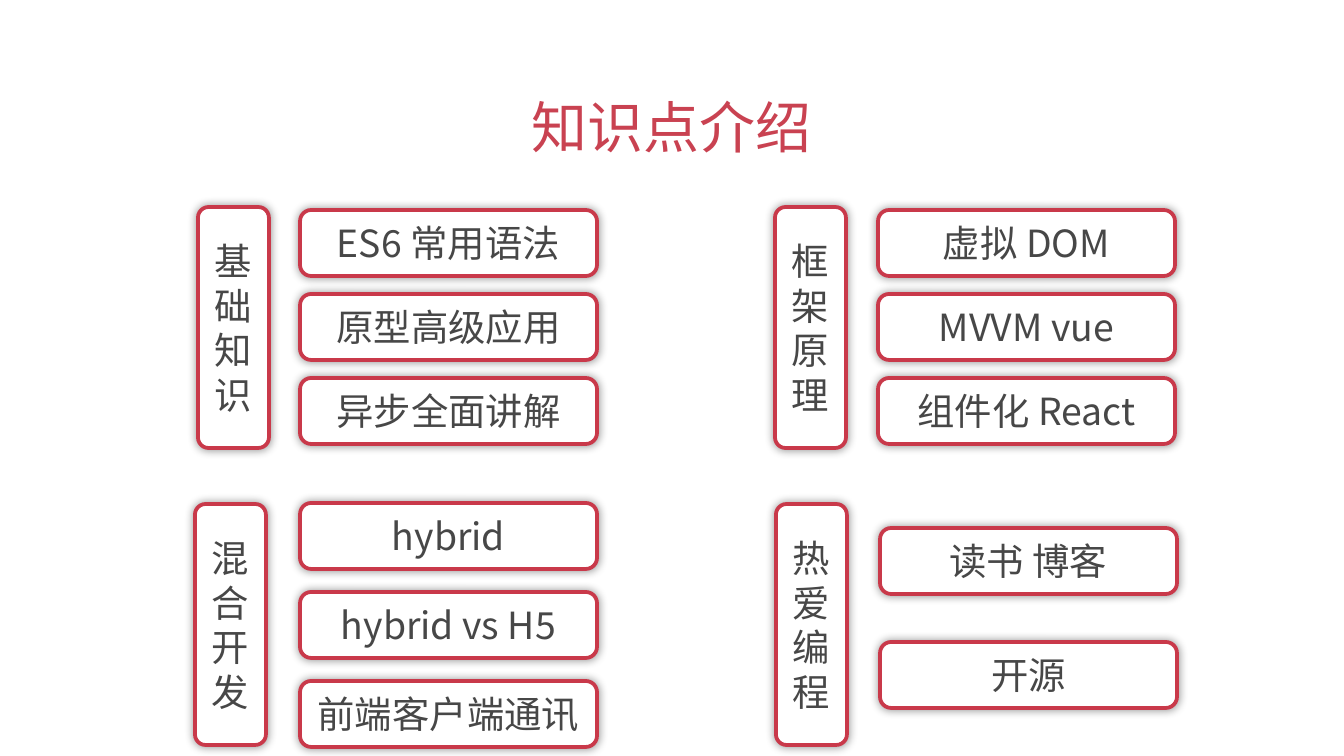
from lxml import etree
from pptx import Presentation
from pptx import util as u
from pptx.dml.color import RGBColor
from pptx.enum import shapes, text
from pptx.oxml.ns import qn

RED = RGBColor(0xC9, 0x39, 0x4A)
ROSE = RGBColor(0xC9, 0x42, 0x51)
GREY = RGBColor(0x47, 0x47, 0x47)
WHITE = RGBColor(0xFF, 0xFF, 0xFF)
FONT = "Noto Sans CJK SC"

TITLE = "知识点介绍"
# topic, its left and top, then its cards with their left, top and pitch
TOPICS = [
    ("基础知识", 198, 207, ["ES6 常用语法", "原型高级应用", "异步全面讲解"], 300, 210, 84),
    ("框架原理", 775, 207, ["虚拟 DOM", "MVVM vue", "组件化 React"], 878, 210, 84),
    ("混合开发", 195, 504, ["hybrid", "hybrid vs H5", "前端客户端通讯"], 300, 503, 89),
    ("热爱编程", 776, 504, ["读书 博客", "开源"], 880, 528, 114),
]
TALL = (71, 241, 0.15)  # width, height, corner
WIDE = (297, 66, 0.17)


def px(n):
    return u.Emu(round(n * 914400 / 134.4))


def write(frame, words, size, color, inset=0):
    frame.margin_left = frame.margin_right = px(inset)
    frame.margin_top = frame.margin_bottom = px(inset)
    para = frame.paragraphs[0]
    para.alignment = text.PP_ALIGN.CENTER
    run = para.add_run()
    run.text = words
    run.font.size = u.Pt(size)
    run.font.color.rgb = color
    run.font.name = FONT
    east = etree.SubElement(run.font._element, qn("a:ea"))
    east.set("typeface", FONT)


def glow(box):
    """Give the box a soft, even shadow on all sides."""
    box.shadow.inherit = False
    effects = box._element.spPr.find(qn("a:effectLst"))
    shade = etree.SubElement(effects, qn("a:outerShdw"), blurRad=str(u.Pt(5)),
                             dist="0", dir="0", rotWithShape="0")
    tone = etree.SubElement(shade, qn("a:srgbClr"), val="000000")
    etree.SubElement(tone, qn("a:alpha"), val="40000")


def add_box(slide, words, left, top, form):
    width, height, corner = form
    box = slide.shapes.add_shape(shapes.MSO_SHAPE.ROUNDED_RECTANGLE,
                                 px(left), px(top), px(width), px(height))
    box.adjustments[0] = corner
    box.fill.solid()
    box.fill.fore_color.rgb = WHITE
    box.line.color.rgb = RED
    box.line.width = u.Pt(2)
    glow(box)
    frame = box.text_frame
    frame.word_wrap = True
    frame.vertical_anchor = text.MSO_ANCHOR.MIDDLE
    write(frame, words, 20, GREY)


def main():
    deck = Presentation()
    deck.slide_width, deck.slide_height = px(1344), px(756)
    slide = deck.slides.add_slide(deck.slide_layouts[6])

    head = slide.shapes.add_textbox(px(524), px(86), px(296), px(89))
    head.text_frame.word_wrap = False
    write(head.text_frame, TITLE, 30, ROSE, 7)

    for topic, left, top, cards, x, y, pitch in TOPICS:
        add_box(slide, topic, left, top, TALL)
        for i, card in enumerate(cards):
            add_box(slide, card, x, y + i * pitch, WIDE)

    deck.save("out.pptx")


if __name__ == "__main__":
    main()
